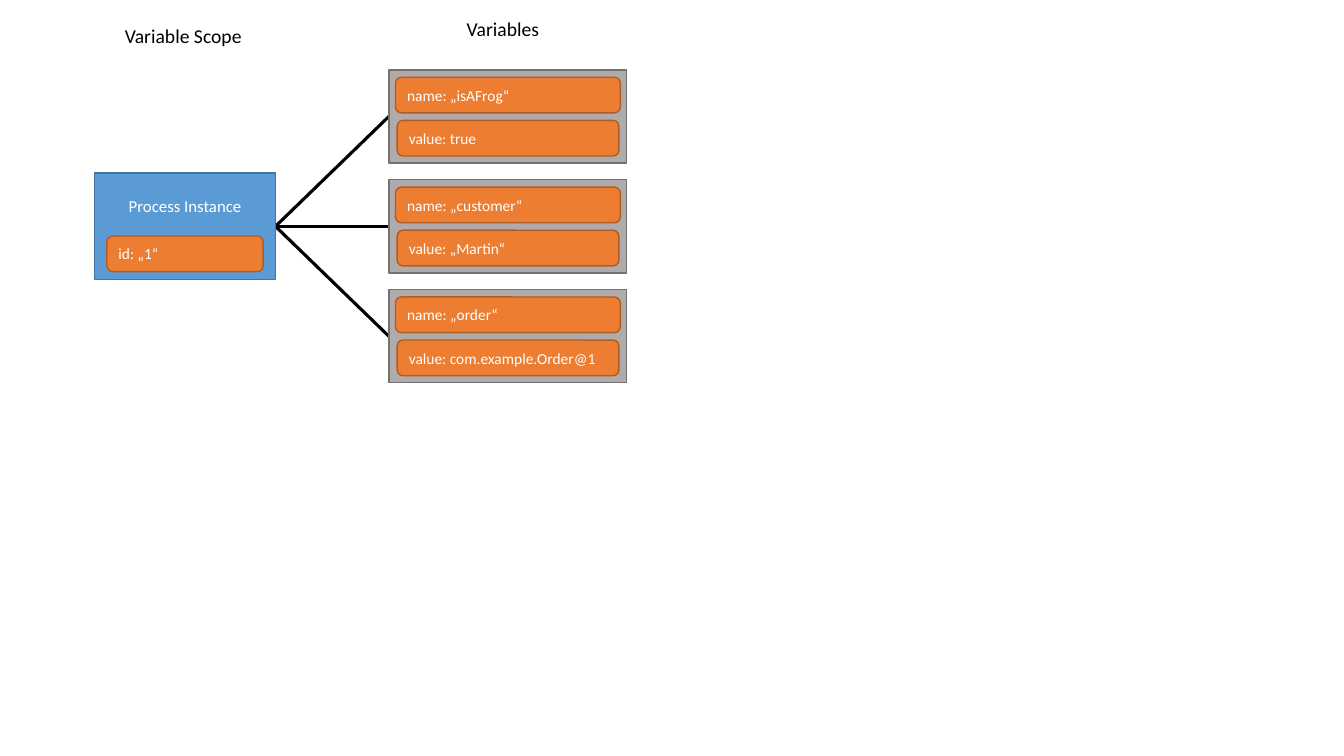
from dataclasses import dataclass
from typing import Any

import pptx
import pptx.dml.color
import pptx.enum.shapes
import pptx.enum.text
import pptx.util
from lxml import etree

MSO_SHAPE = pptx.enum.shapes.MSO_SHAPE
ANCHOR = pptx.enum.text.MSO_ANCHOR
ALIGN = pptx.enum.text.PP_ALIGN
A_NS = "http://schemas.openxmlformats.org/drawingml/2006/main"

prs = pptx.Presentation()
prs.slide_width = pptx.util.Inches(13.33)
prs.slide_height = pptx.util.Inches(7.5)
slide = prs.slides.add_slide(prs.slide_layouts[6])


@dataclass(frozen=True)
class Box:
    x: float
    y: float
    w: float
    h: float

    def emu(self) -> tuple[int, int, int, int]:
        col, row = prs.slide_width / 100, prs.slide_height / 100
        return (round(self.x * col), round(self.y * row),
                round(self.w * col), round(self.h * row))


@dataclass(frozen=True)
class Style:
    kind: Any
    fill: str
    line: str


@dataclass(frozen=True)
class Variable:
    name: str
    value: str


SCOPE = Style(MSO_SHAPE.RECTANGLE, "5B9BD5", "43739E")
CARD = Style(MSO_SHAPE.RECTANGLE, "AFABAB", "767171")
FIELD = Style(MSO_SHAPE.ROUNDED_RECTANGLE, "ED7D31", "AF5C24")

HEADINGS = {
    "Variable Scope": Box(8.55, 2.53, 10.35, 4.53),
    "Variables": Box(33.98, 1.6, 7.58, 4.53),
}
VARIABLES = [
    Variable("„isAFrog“", "true"),
    Variable("„customer“", "„Martin“"),
    Variable("„order“", "com.example.Order@1"),
]
CARD_TOP, CARD_PITCH, CARD_H = 9.25, 14.53, 12.33
FIELD_H = 4.72
SCOPE_H = 14.13
SCOPE_TOP = CARD_TOP + CARD_PITCH + (CARD_H - SCOPE_H) / 2


def color(value: str) -> pptx.dml.color.RGBColor:
    return pptx.dml.color.RGBColor.from_string(value)


def write(sp: Any, text: str, size: float, ink: str, align: Any = ALIGN.LEFT) -> None:
    tf = sp.text_frame
    tf.text = text
    tf.word_wrap = True
    p = tf.paragraphs[0]
    p.alignment = align
    for r in p.runs:
        r.font.name = "Calibri"
        r.font.size = pptx.util.Pt(size)
        r.font.color.rgb = color(ink)


def add_box(group: Any, box: Box, style: Style) -> Any:
    sp = group.shapes.add_shape(style.kind, *box.emu())
    sp.shadow.inherit = False
    sp.fill.solid()
    sp.fill.fore_color.rgb = color(style.fill)
    sp.line.color.rgb = color(style.line)
    sp.line.width = pptx.util.Pt(1)
    return sp


def add_field(group: Any, box: Box, text: str) -> None:
    sp = add_box(group, box, FIELD)
    write(sp, text, 11, "FFFFFF")
    sp.text_frame.vertical_anchor = ANCHOR.MIDDLE


def add_link() -> Any:
    link = slide.shapes.add_connector(pptx.enum.shapes.MSO_CONNECTOR.STRAIGHT, 0, 0, 0, 0)
    link.line.color.rgb = color("000000")
    link.line.width = pptx.util.Pt(2.25)
    etree.SubElement(link._element.spPr, f"{{{A_NS}}}effectLst")
    return link


def add_scope() -> Any:
    group = slide.shapes.add_group_shape()
    sp = add_box(group, Box(7.05, SCOPE_TOP, 13.45, SCOPE_H), SCOPE)
    write(sp, "Process Instance", 12, "FFFFFF", ALIGN.CENTER)
    sp.text_frame.vertical_anchor = ANCHOR.TOP
    sp.text_frame.margin_top = pptx.util.Inches(0.23)
    add_field(group, Box(7.95, 31.22, 11.63, FIELD_H), "id: „1“")
    return sp


def add_variable(variable: Variable, top: float) -> Any:
    group = slide.shapes.add_group_shape()
    sp = add_box(group, Box(28.93, top, 17.7, CARD_H), CARD)
    add_field(group, Box(29.43, top + 0.97, 16.73, FIELD_H), f"name: {variable.name}")
    add_field(group, Box(29.55, top + 6.67, 16.5, FIELD_H), f"value: {variable.value}")
    return sp


for heading, box in HEADINGS.items():
    write(slide.shapes.add_textbox(*box.emu()), heading, 14, "000000")

links = [add_link() for _ in VARIABLES]
scope = add_scope()
for i, (link, variable) in enumerate(zip(links, VARIABLES)):
    card = add_variable(variable, CARD_TOP + i * CARD_PITCH)
    link.begin_connect(scope, 3)
    link.end_connect(card, 1)

prs.save("out.pptx")
